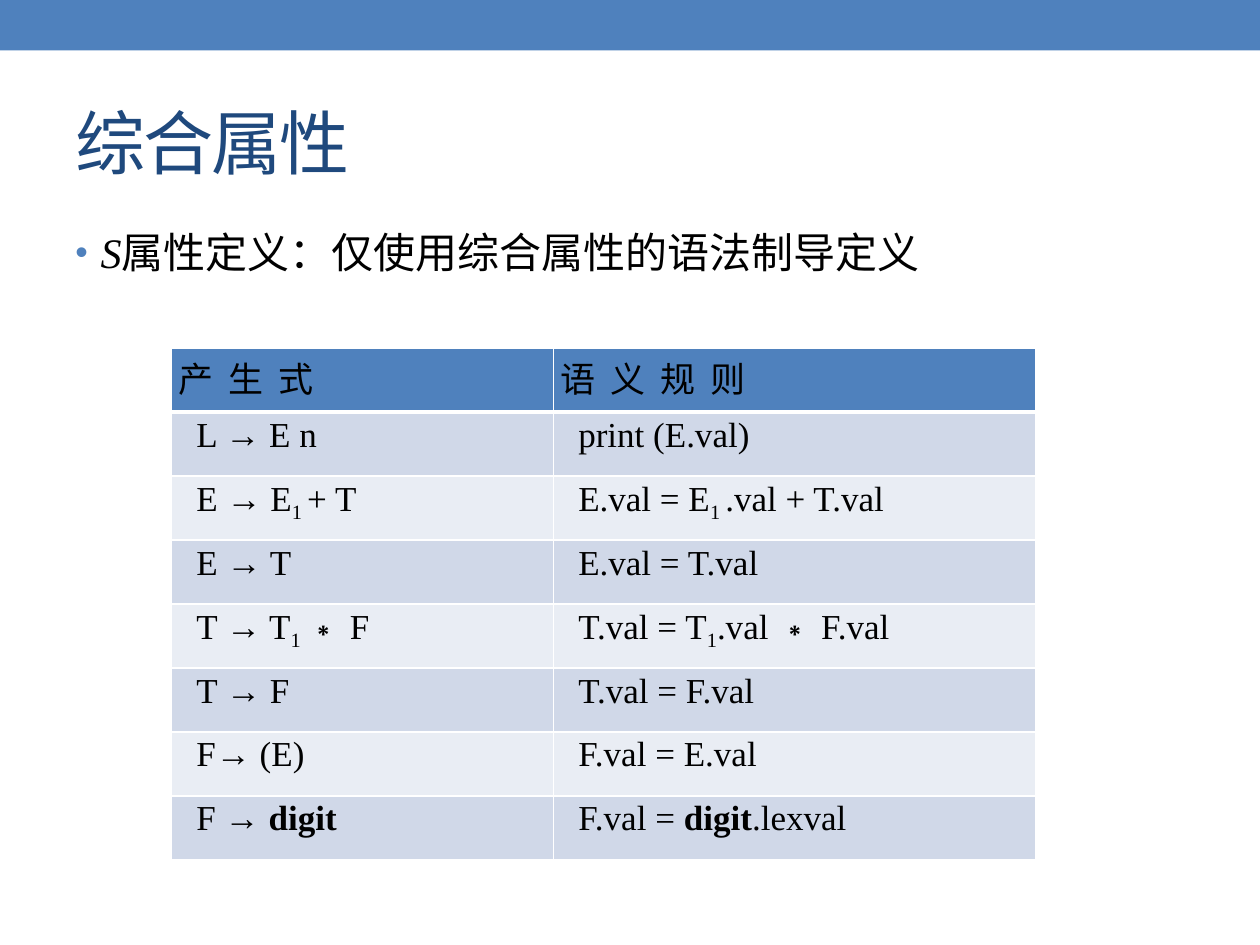
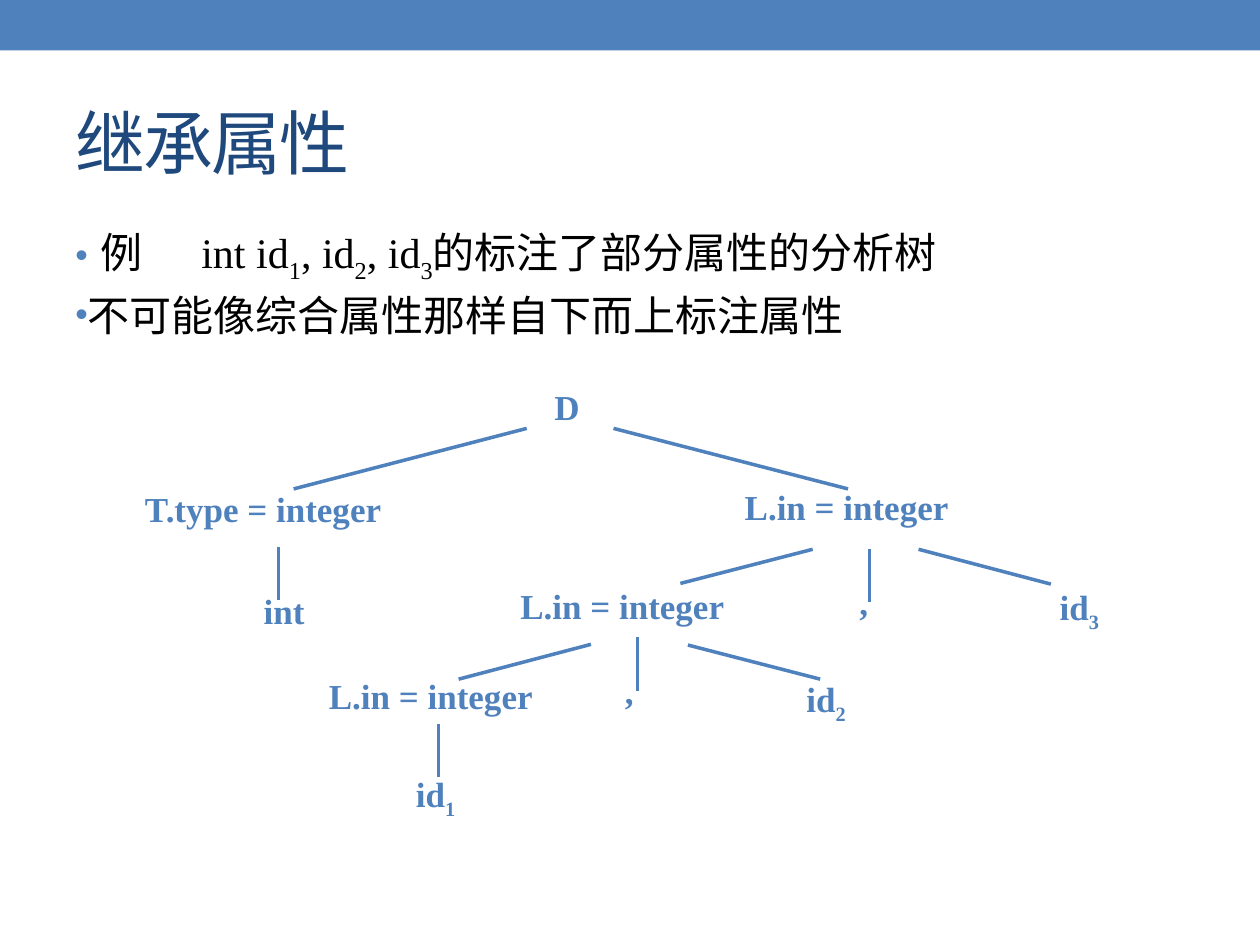
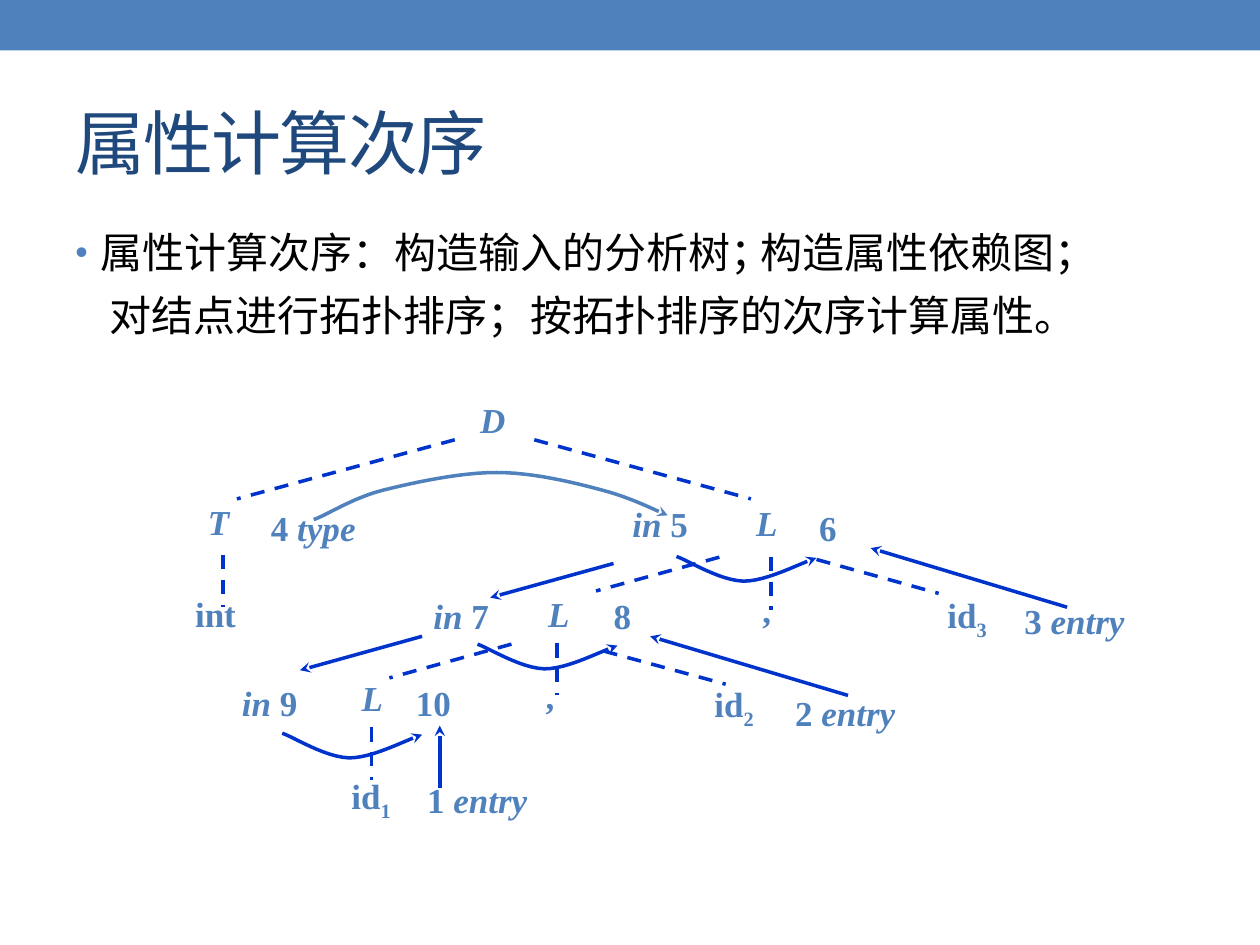
from lxml.etree import SubElement
from pptx import Presentation
from pptx.dml.color import RGBColor
from pptx.enum.dml import MSO_LINE
from pptx.enum.shapes import MSO_CONNECTOR, MSO_SHAPE
from pptx.enum.text import MSO_ANCHOR, MSO_AUTO_SIZE, PP_ALIGN
from pptx.oxml.ns import qn
from pptx.util import Pt

COLORS = {
    "accent": "4F81BD",
    "title": "1F497D",
    "text": "000000",
    "depend": "0033CC",
    "band_dark": "D0D8E8",
    "band_light": "E9EDF4",
    "border": "FFFFFF",
}
SERIF = "Times New Roman"
SANS = "Noto Sans CJK SC"


def rgb(name):
    return RGBColor.from_string(COLORS[name])


def sub(text):
    return text, "sub"


def italic(text):
    return text, "italic"


def bold(text):
    return text, "bold"


def identifier(number):
    return ["id", sub(number)]


def bezier(start, controls, steps=12):
    points = []
    for first, second, end in controls:
        for step in range(1, steps + 1):
            t = step / steps
            weights = ((1 - t) ** 3, 3 * t * (1 - t) ** 2, 3 * t * t * (1 - t), t ** 3)
            corners = (start, first, second, end)
            points.append(tuple(sum(w * c[axis] for w, c in zip(weights, corners)) for axis in (0, 1)))
        start = end
    return points


class Deck:
    def __init__(self):
        self.presentation = Presentation()
        self.presentation.slide_width = Pt(720)
        self.presentation.slide_height = Pt(540)
        self.slide = None

    def new_slide(self, title, font=SERIF):
        self.slide = self.presentation.slides.add_slide(self.presentation.slide_layouts[6])
        band = self.slide.shapes.add_shape(MSO_SHAPE.RECTANGLE, 0, 0, Pt(720), Pt(28.8))
        band.fill.solid()
        band.fill.fore_color.rgb = rgb("accent")
        band.line.fill.background()
        band.shadow.inherit = False
        frame = self.frame(36, 41.8, 648, 77.8)
        frame.vertical_anchor = MSO_ANCHOR.MIDDLE
        self.set_text(frame.paragraphs[0], title, 40, "title", font, spacing=-100)

    def frame(self, left, top, width, height):
        frame = self.slide.shapes.add_textbox(Pt(left), Pt(top), Pt(width), Pt(height)).text_frame
        frame.word_wrap = True
        return frame

    def set_text(self, paragraph, content, size, color, font=SERIF, spacing=None):
        for part in [content] if isinstance(content, str) else content:
            text, mark = (part, None) if isinstance(part, str) else part
            run = paragraph.add_run()
            run.text = text
            if mark == "sub":
                run.font._element.set("baseline", "-25000")
            elif mark == "italic":
                run.font.italic = True
            elif mark == "bold":
                run.font.bold = True
            if spacing:
                run.font._element.set("spc", str(spacing))
        paragraph.font.size = Pt(size)
        paragraph.font.name = font
        paragraph.font.color.rgb = rgb(color)

    def bullets(self, items, font=SERIF):
        frame = self.frame(36, 126, 648, 383.8)
        for index, (content, indent) in enumerate(items):
            paragraph = frame.add_paragraph() if index else frame.paragraphs[0]
            if index:
                paragraph.space_before = Pt(3)
            properties = paragraph._p.get_or_add_pPr()
            properties.set("marL", str(Pt(indent)))
            properties.set("indent", str(-Pt(indent)))
            SubElement(SubElement(properties, qn("a:buClr")), qn("a:srgbClr"), val=COLORS["accent"])
            SubElement(properties, qn("a:buSzPct"), val="85000")
            SubElement(properties, qn("a:buFont"), typeface="Arial")
            SubElement(properties, qn("a:buChar"), char="•")
            self.set_text(paragraph, content, 24, "text", font)

    def phrase(self, content, left, top, width):
        frame = self.frame(left, top, width, 36)
        frame.word_wrap = False
        frame.auto_size = MSO_AUTO_SIZE.SHAPE_TO_FIT_TEXT
        self.set_text(frame.paragraphs[0], content, 24, "text", SANS)

    def label(self, content, left, top, width, align=PP_ALIGN.JUSTIFY):
        frame = self.frame(left, top, width, 28.8)
        frame.margin_left = frame.margin_right = Pt(1.44)
        frame.margin_top = frame.margin_bottom = Pt(0.72)
        paragraph = frame.paragraphs[0]
        paragraph.alignment = align
        self.set_text(paragraph, content, 20, "accent")
        paragraph.font.bold = True

    def stroke(self, shape, color, dashed=False, arrow=False):
        shape.line.color.rgb = rgb(color)
        shape.line.width = Pt(2)
        if dashed:
            shape.line.dash_style = MSO_LINE.DASH
        if arrow:
            SubElement(shape.element.spPr.find(qn("a:ln")), qn("a:tailEnd"), type="stealth")

    def line(self, start, end, color="accent", dashed=False, arrow=False):
        points = [Pt(value) for value in (*start, *end)]
        connector = self.slide.shapes.add_connector(MSO_CONNECTOR.STRAIGHT, *points)
        self.stroke(connector, color, dashed, arrow)
        SubElement(connector.element.spPr, qn("a:effectLst"))

    def curve(self, start, controls, color):
        builder = self.slide.shapes.build_freeform(Pt(start[0]), Pt(start[1]))
        builder.add_line_segments([(Pt(x), Pt(y)) for x, y in bezier(start, controls)], close=False)
        outline = builder.convert_to_shape()
        outline.fill.background()
        self.stroke(outline, color, arrow=True)
        outline.shadow.inherit = False

    def table(self, rows, left, top, widths, row_height):
        grid = self.slide.shapes.add_table(
            len(rows), len(widths), Pt(left), Pt(top), Pt(sum(widths)), Pt(row_height * len(rows))
        ).table
        grid.first_row = grid.horz_banding = False
        for column, width in zip(grid.columns, widths):
            column.width = Pt(width)
        for row_index, row in enumerate(rows):
            grid.rows[row_index].height = Pt(row_height)
            header = row_index == 0
            fill = "accent" if header else "band_dark" if row_index % 2 else "band_light"
            for column_index, content in enumerate(row):
                cell = grid.cell(row_index, column_index)
                cell.margin_left = Pt(4.3 if header else 14.3)
                cell.margin_right = Pt(4.3)
                cell.margin_top = cell.margin_bottom = Pt(2.16)
                self.borders(cell, {"lnT": 3 if row_index == 1 else 1, "lnB": 3 if header else 1})
                cell.fill.solid()
                cell.fill.fore_color.rgb = rgb(fill)
                self.set_text(cell.text_frame.paragraphs[0], content, 20, "text",
                              spacing=200 if header else None)

    def borders(self, cell, widths):
        properties = cell._tc.get_or_add_tcPr()
        for side in ("lnL", "lnR", "lnT", "lnB"):
            edge = SubElement(properties, qn(f"a:{side}"), w=str(Pt(widths.get(side, 1))))
            SubElement(SubElement(edge, qn("a:solidFill")), qn("a:srgbClr"), val=COLORS["border"])


def synthesized_attributes(deck):
    deck.new_slide("综合属性")
    deck.bullets([([italic("S"), "属性定义：仅使用综合属性的语法制导定义"], 14.4)])
    deck.table([
        ("产 生 式", "语 义 规 则"),
        ("L → E n", "print (E.val)"),
        (["E → E", sub("1 "), "+ T"], ["E.val = E", sub("1 "), ".val + T.val"]),
        ("E → T", "E.val = T.val"),
        (["T → T", sub("1 "), "∗ F"], ["T.val = T", sub("1"), ".val ∗ F.val"]),
        ("T → F", "T.val = F.val"),
        ("F→ (E)", "F.val = E.val"),
        (["F → ", bold("digit")], ["F.val = ", bold("digit"), ".lexval"]),
    ], 98, 199, (218.2, 275.6), 36.55)


def inherited_attributes(deck):
    deck.new_slide("继承属性")
    declaration = ["例\tint id", sub("1"), ", id", sub("2"), ", id", sub("3"), "的标注了部分属性的分析树"]
    deck.bullets([(declaration, 14.4), ("不可能像综合属性那样自下而上标注属性", 0)])
    deck.label("D", 315.4, 219.6, 28)
    deck.label("int", 118.1, 336.2, 88.6, PP_ALIGN.CENTER)
    deck.label("T.type = integer", 81.4, 277.9, 170.6)
    for left, top in ((424.1, 276.5), (295.9, 333.4), (186.5, 384.5)):
        deck.label("L.in = integer", left, top, 170.6)
    for left, top in ((489.6, 331.2), (355.7, 381.6)):
        deck.label(",", left, top, 28)
    for number, left, top in (("1", 236.2, 440.6), ("2", 459.4, 386.6), ("3", 604.1, 334.1)):
        deck.label(identifier(number), left, top, 64.8)
    branches = [
        ((301, 244.8), (167.8, 279.4)),
        ((350.6, 244.8), (484.6, 279.4)),
        ((159.1, 312.5), (159.1, 342.7)),
        ((464.4, 313.9), (388.8, 333.4)),
        ((496.8, 313.9), (496.8, 344.2)),
        ((524.9, 313.9), (600.5, 333.8)),
        ((337.7, 368.2), (262.1, 388.1)),
        ((364.3, 364.3), (364.3, 394.6)),
        ((393.1, 368.6), (468.7, 388.1)),
        ((250.6, 413.6), (250.6, 444)),
    ]
    for start, end in branches:
        deck.line(start, end)


def evaluation_order(deck):
    deck.new_slide("属性计算次序", SANS)
    deck.bullets([("属性计算次序：构造输入的分析树；", 14.4)], SANS)
    branches = [
        ((259.9, 251.3), (135.4, 285.1)),
        ((305.3, 251.3), (429.1, 285.1)),
        ((127.4, 317.3), (127.4, 347)),
        ((411.1, 318.4), (340.6, 337.7)),
        ((440.6, 318.4), (440.6, 348.5)),
        ((466.6, 319.7), (536.4, 339.1)),
        ((292.3, 368.1), (222.5, 387.4)),
        ((318.2, 367.7), (318.2, 397.4)),
        ((344.9, 372), (414.7, 391)),
        ((212.4, 415.7), (212.4, 445.5)),
    ]
    for start, end in branches:
        deck.line(start, end, "depend", dashed=True)
    symbols = [
        (italic("D"), 272.9, 226.8),
        (italic("T"), 117.4, 285.1),
        (italic("L"), 430.6, 285.8),
        (italic("L"), 311.8, 337.7),
        (italic("L"), 205.2, 385.9),
        (",", 434.2, 335.5),
        (",", 310.3, 384.5),
        ("6", 466.6, 288.7),
        ("8", 349.2, 339.1),
        ("10", 236.2, 388.8),
    ]
    for symbol, left, top in symbols:
        deck.label([symbol], left, top, 28.8)
    deck.label("int", 110, 337.7, 76)
    for number, left, top in (("1", 199.4, 442.1), ("2", 406.8, 389.5), ("3", 540, 338.4)):
        deck.label(identifier(number), left, top, 60.5)
    for number, left, top in (("5", 360, 286.6), ("7", 246.2, 339.1), ("9", 136.8, 388.8)):
        deck.label([italic("in "), number], left, top, 45.4)
    attributes = [
        ("1 ", "entry", 242.6, 444.2),
        ("2 ", "entry", 452.9, 394.6),
        ("3 ", "entry", 583.9, 342),
        ("4 ", "type", 153.4, 288.7),
    ]
    for number, attribute, left, top in attributes:
        deck.label([number, italic(attribute)], left, top, 72)
    dependencies = [
        ((251.3, 450), (251.3, 414.7)),
        ((350.6, 322), (280.1, 341.5)),
        ((241.2, 363.6), (171.4, 383)),
        ((609.8, 347), (497.5, 313.2)),
        ((484.6, 397.4), (371.5, 363.6)),
    ]
    for start, end in dependencies:
        deck.line(start, end, "depend", arrow=True)
    deck.curve((179.3, 296.9), [
        ((186.5, 294.5), (201.6, 284.4), (218.9, 280.1)),
        ((236.2, 275.8), (262.8, 270), (283.7, 270)),
        ((304.6, 270), (328.3, 275.8), (344.2, 280.1)),
        ((360.7, 284.4), (374.4, 291.6), (381.6, 294.5)),
    ], "accent")
    sag = [((6.5, 2.2), (24.5, 13.7), (38.2, 14.1)), ((51.1, 14.4), (71.3, 3.6), (80, 0.8))]
    for x, y in ((161.3, 419), (272.9, 368.1), (386.6, 318)):
        deck.curve((x, y), [[(x + dx, y + dy) for dx, dy in part] for part in sag], "depend")
    deck.phrase("构造属性依赖图；", 427.7, 126, 206.6)
    deck.phrase("对结点进行拓扑排序；", 55.4, 162, 254.2)
    deck.phrase("按拓扑排序的次序计算属性。", 295.9, 162, 326.2)


def main():
    deck = Deck()
    synthesized_attributes(deck)
    inherited_attributes(deck)
    evaluation_order(deck)
    deck.presentation.save("out.pptx")


if __name__ == "__main__":
    main()
